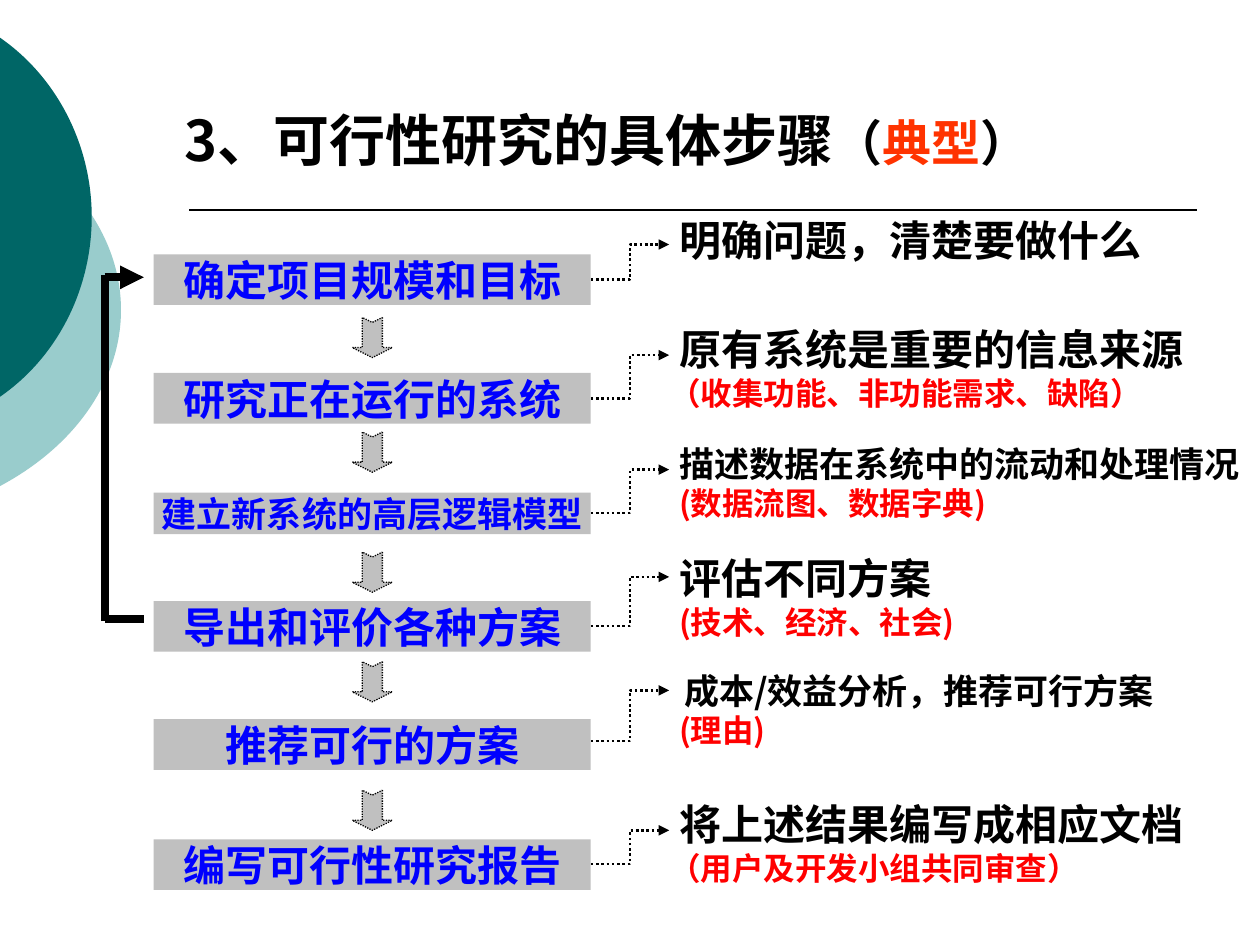
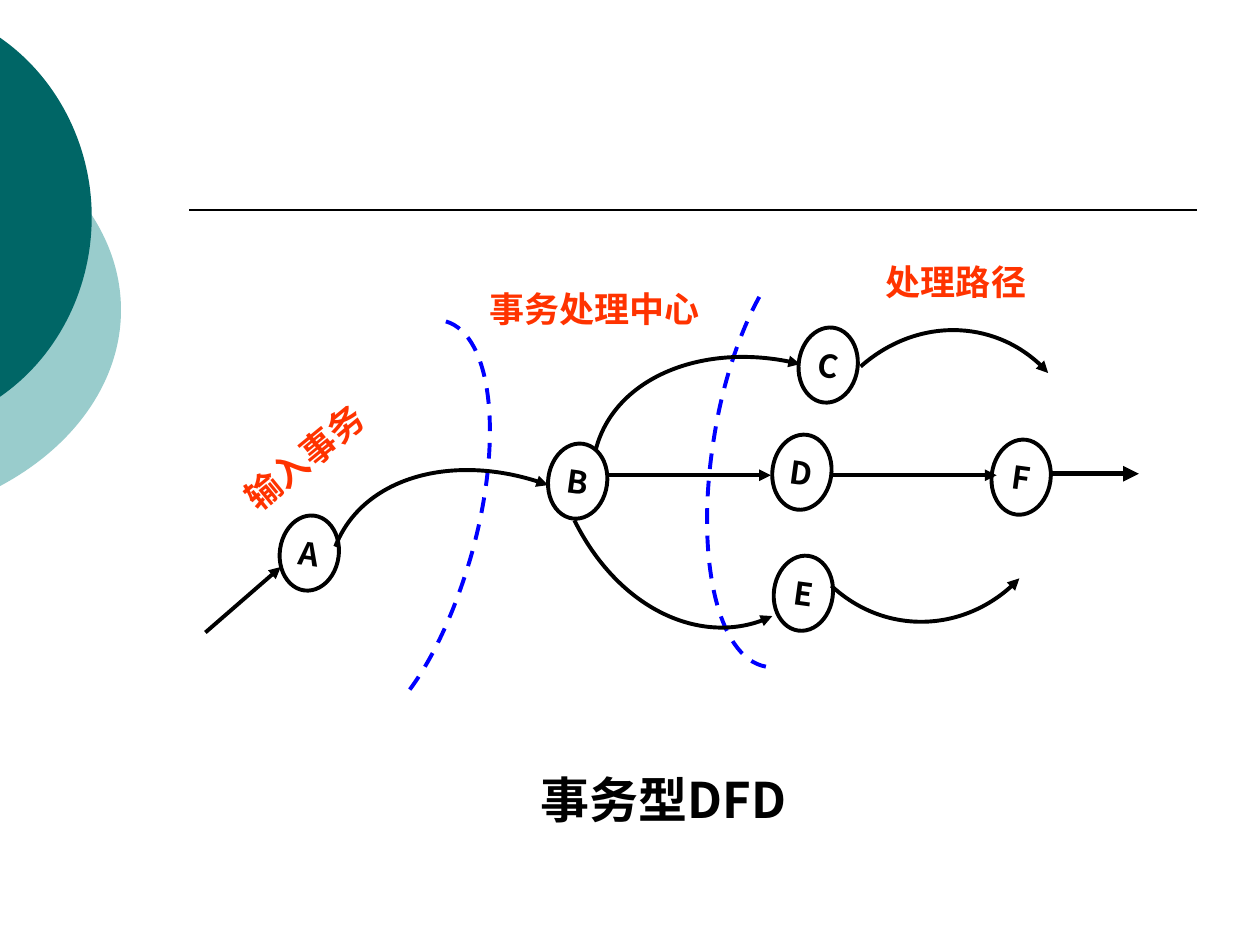
from lxml.etree import SubElement
from pptx import Presentation
from pptx.dml.color import RGBColor
from pptx.enum.dml import MSO_LINE as Dash
from pptx.enum.shapes import MSO_CONNECTOR as Link, MSO_SHAPE as Form
from pptx.enum.text import MSO_ANCHOR as Anchor, PP_ALIGN as Align
from pptx.oxml.ns import qn
from pptx.util import Cm, Pt

BLACK = RGBColor(0, 0, 0)
GRAY = RGBColor(0xC0, 0xC0, 0xC0)
BLUE = RGBColor(0, 0, 0xFF)
RED = RGBColor(0xFF, 0, 0)
ORANGE = RGBColor(0xFF, 0x33, 0)
TEAL = RGBColor(0, 0x66, 0x66)
PALE = RGBColor(0x99, 0xCC, 0xCC)
FACE = "Noto Sans CJK SC"
TALL = {18: 0.76, 20: 0.84, 24: 1.02, 28: 1.19}

DISCS = [
    (PALE, [(0, 2.69), (1.52, 3.51), (2.44, 4.83), (2.44, 6.25),
            (2.44, 7.67), (1.52, 8.99), (0, 9.8)]),
    (TEAL, [(0, 0.76), (1.17, 1.57), (1.85, 2.95), (1.85, 4.37),
            (1.85, 5.82), (1.17, 7.19), (0, 8)]),
]
STEPS = [
    (0, "确定项目规模和目标", 24),
    (2.39, "研究正在运行的系统", 24),
    (4.8, "建立新系统的高层逻辑模型", 20),
    (6.99, "导出和评价各种方案", 24),
    (9.37, "推荐可行的方案", 24),
    (11.79, "编写可行性研究报告", 24),
]
DROPS = [1.27, 3.58, 6, 8.21, 10.8]
NOTES = [
    (0, 0, 10.52, "明确问题，清楚要做什么", 24, None, 0),
    (0, 2.21, 10.92, "原有系统是重要的信息来源", 24,
     "（收集功能、非功能需求、缺陷）", 9.8),
    (0, 4.6, 11.48, "描述数据在系统中的流动和处理情况", 20,
     "(数据流图、数据字典)", 6.6),
    (0, 6.81, 7.92, "评估不同方案", 24, "(技术、经济、社会)", 6.6),
    (0.1, 9.17, 11.3, "成本/效益分析，推荐可行方案", 20, "(理由)", 2.21),
    (0, 11.78, 11.61, "将上述结果编写成相应文档", 24,
     "（用户及开发小组共同审查）", 8.59),
]
LEADS = [(5.64, 4.93), (8.03, 7.16), (10.34, 9.47),
         (12.62, 11.63), (14.94, 13.92), (17.42, 16.74)]
BOUNDS = [
    [(4.99, 1.48), (5.93, 1.76), (6.16, 3.86), (5.5, 6.2),
     (5.17, 7.34), (4.69, 8.39), (4.13, 9.07)],
    [(11.44, 8.44), (10.45, 8.26), (10, 6.2), (10.4, 3.79),
     (10.58, 2.65), (10.96, 1.55), (11.42, 0.79)],
]
ARCS = [
    [(2.76, 6.02), (3.29, 4.65), (5.19, 4.09), (7.05, 4.78)],
    [(8.01, 4.07), (8.37, 2.65), (10.22, 1.86), (12.13, 2.34)],
    [(7.58, 5.49), (8.45, 7.24), (10.22, 8.08), (11.57, 7.42)],
    [(13.35, 2.39), (14.47, 1.4), (16.17, 1.43), (17.13, 2.52)],
    [(12.76, 6.81), (13.83, 7.8), (15.53, 7.75), (16.55, 6.66)],
]
FLOWS = [
    ((0.14, 7.75), (1.66, 6.43), 2.25),
    ((8.24, 4.58), (11.54, 4.58), 2.25),
    ((12.76, 4.58), (16.09, 4.58), 2.25),
    ((17.18, 4.55), (18.96, 4.55), 3),
]
NODES = {"A": (1.64, 5.39), "B": (7.05, 3.94), "C": (12.1, 1.6),
         "D": (11.57, 3.76), "E": (11.6, 6.2), "F": (15.99, 3.86)}
LABELS = [
    ("事务处理中心", 5.86, 0.79, 4.9, 20, ORANGE, 0),
    ("处理路径", 13.86, 0.26, 3.3, 20, ORANGE, 0),
    ("输入事务", 0.7, 3.74, 3, 20, ORANGE, 320.7),
    ("事务型DFD", 6.9, 10.52, 5, 28, BLACK, 0),
]


def write(shape, runs, align=Align.LEFT, anchor=Anchor.TOP, wrap=True):
    """Fill a shape with one paragraph of (text, size, colour) runs."""
    frame = shape.text_frame
    form = dict(margin_left=0, margin_top=0, margin_right=0, margin_bottom=0,
                word_wrap=wrap, vertical_anchor=anchor)
    for key, value in form.items():
        setattr(frame, key, value)
    para = frame.paragraphs[0]
    para.alignment = align
    para.space_before = Pt(0)
    for text, size, color in runs:
        run = para.add_run()
        run.text = text
        for key, value in dict(size=Pt(size), bold=True, name=FACE).items():
            setattr(run.font, key, value)
        run.font.color.rgb = color
        SubElement(run.font._element, qn("a:ea"), typeface=FACE)


def label(slide, text, x, y, wide, size, color, turn=0):
    """Add a line of text in its own box."""
    box = slide.shapes.add_textbox(Cm(x), Cm(y), Cm(wide), Cm(TALL[size]))
    box.rotation = turn
    write(box, [(text, size, color)])


def ink(shape, color, width, dash=None, arrow=False):
    """Set the line of a shape or connector."""
    shape.line.color.rgb = color
    shape.line.width = Pt(width)
    if dash:
        shape.line.dash_style = dash
    if arrow:
        SubElement(shape.element.spPr.find(qn("a:ln")), qn("a:tailEnd"),
                   type="triangle")


def join(slide, start, end, width, kind=Link.STRAIGHT, dash=None, arrow=True):
    """Add a black connector between two points."""
    line = slide.shapes.add_connector(kind, *map(Cm, (*start, *end)))
    ink(line, BLACK, width, dash, arrow)
    SubElement(line.element.spPr, qn("a:effectLst"))
    return line


def block(slide, kind, x, y, wide, high, fill=None):
    """Add a preset shape with no line or shadow."""
    shape = slide.shapes.add_shape(kind, *map(Cm, (x, y, wide, high)))
    shape.shadow.inherit = False
    shape.line.fill.background()
    if fill is None:
        shape.fill.background()
    else:
        shape.fill.solid()
        shape.fill.fore_color.rgb = fill
    return shape


def curve(slide, points, left=0, top=0, close=False):
    """Add an outline of cubic curves through the given points."""
    first, *rest = [(Cm(left + x), Cm(top + y)) for x, y in points]
    pen = slide.shapes.build_freeform(*first)
    pen.add_line_segments(rest, close=close)
    shape = pen.convert_to_shape()
    shape.shadow.inherit = False
    shape.fill.background()
    legs = list(shape.element.iter(qn("a:lnTo")))
    for i in range(0, len(legs), 3):
        bend = legs[i].makeelement(qn("a:cubicBezTo"))
        legs[i].addprevious(bend)
        for leg in legs[i:i + 3]:
            bend.append(leg[0])
            leg.getparent().remove(leg)
    return shape


def backdrop(deck, slide):
    """Draw the discs and the rule, then move them to the master."""
    parts = []
    for color, points in DISCS:
        disc = curve(slide, points, close=True)
        disc.fill.solid()
        disc.fill.fore_color.rgb = color
        disc.line.fill.background()
        parts.append(disc)
    parts.append(join(slide, (3.81, 4.24), (24.13, 4.24), 1, arrow=False))
    tree = deck.slide_master.element.cSld.spTree
    for i, part in enumerate(parts):
        part.element.xpath(".//p:cNvPr")[0].set("id", str(100 + i))
        tree.insert(2 + i, part.element)


def heading(slide, box):
    """Place and write the title."""
    title = slide.shapes.title
    for key, value in zip(("left", "top", "width", "height"), box):
        setattr(title, key, Cm(value))
    write(title, [("3、可行性研究的具体步骤", 32, BLACK), ("（", 28, BLACK),
                  ("典型", 28, ORANGE), ("）", 28, BLACK)])


def steps(slide, box):
    """Draw the column of steps and the arrows between them."""
    left, top, wide, _ = box
    for y, text, size in STEPS:
        bar = block(slide, Form.RECTANGLE, left, top + y, wide, TALL[size],
                    GRAY)
        write(bar, [(text, size, BLUE)], Align.CENTER)
    side = 0.81
    for y in DROPS:
        drop = block(slide, Form.NOTCHED_RIGHT_ARROW,
                     left + (wide - side) / 2, top + y, side, side, GRAY)
        drop.rotation = 90
        drop.adjustments[1] = 0.25
        ink(drop, BLACK, 0.75, Dash.ROUND_DOT)


def loop(slide, box):
    """Draw the thick line that leads back to the first step."""
    left, top, wide, high = box
    low, lap = top + high, 0.05
    join(slide, (left + wide, low), (left, low), 4.5, arrow=False)
    join(slide, (left, low + lap), (left, top - lap), 4.5, arrow=False)
    join(slide, (left, top), (left + wide, top), 4.5)


def leads(slide, box):
    """Draw the dotted links from the steps to the notes."""
    left, top, wide, _ = box
    for start, end in LEADS:
        join(slide, (left, top + start), (left + wide, top + end), 1.5,
             Link.ELBOW, Dash.ROUND_DOT)


def notes(slide, box):
    """Write the note on each step, with its red remark below."""
    left, top, _, _ = box
    for x, y, wide, text, size, remark, span in NOTES:
        label(slide, text, left + x, top + y, wide, size, BLACK)
        if remark:
            shift = 0.2 if remark.startswith("（") else 0
            label(slide, remark, left - shift, top + y + TALL[size], span,
                  18, RED)


def graph(slide, box):
    """Draw the data flow graph with its nodes and labels."""
    left, top, _, _ = box
    for points in BOUNDS:
        ink(curve(slide, points, left, top), BLUE, 2.25, Dash.DASH)
    for name, (x, y) in NODES.items():
        node = block(slide, Form.OVAL, left + x, top + y, 1.19, 1.52)
        node.rotation = 7.8
        ink(node, BLACK, 2.25)
        write(node, [(name, 18, BLACK)], Align.CENTER, Anchor.MIDDLE, False)
    for points in ARCS:
        ink(curve(slide, points, left, top), BLACK, 2.25, arrow=True)
    for start, end, width in FLOWS:
        join(slide, (left + start[0], top + start[1]),
             (left + end[0], top + end[1]), width)
    for text, x, y, *rest in LABELS:
        label(slide, text, left + x, top + y, *rest)


def main():
    """Build and save both slides."""
    deck = Presentation()
    deck.slide_width, deck.slide_height = Cm(25.4), Cm(19.05)
    study = deck.slides.add_slide(deck.slide_layouts[5])
    backdrop(deck, study)
    heading(study, (3.71, 2.13, 18.01, 1.35))
    loop(study, (2.11, 5.59, 0.79, 6.88))
    steps(study, (3.1, 5.13, 8.81, 12.81))
    leads(study, (11.91, 0, 1.58, 19.05))
    notes(study, (13.69, 4.32, 11.6, 13.56))
    graph(deck.slides.add_slide(deck.slide_layouts[6]), (4, 5, 19, 13))
    deck.save("out.pptx")


if __name__ == "__main__":
    main()
